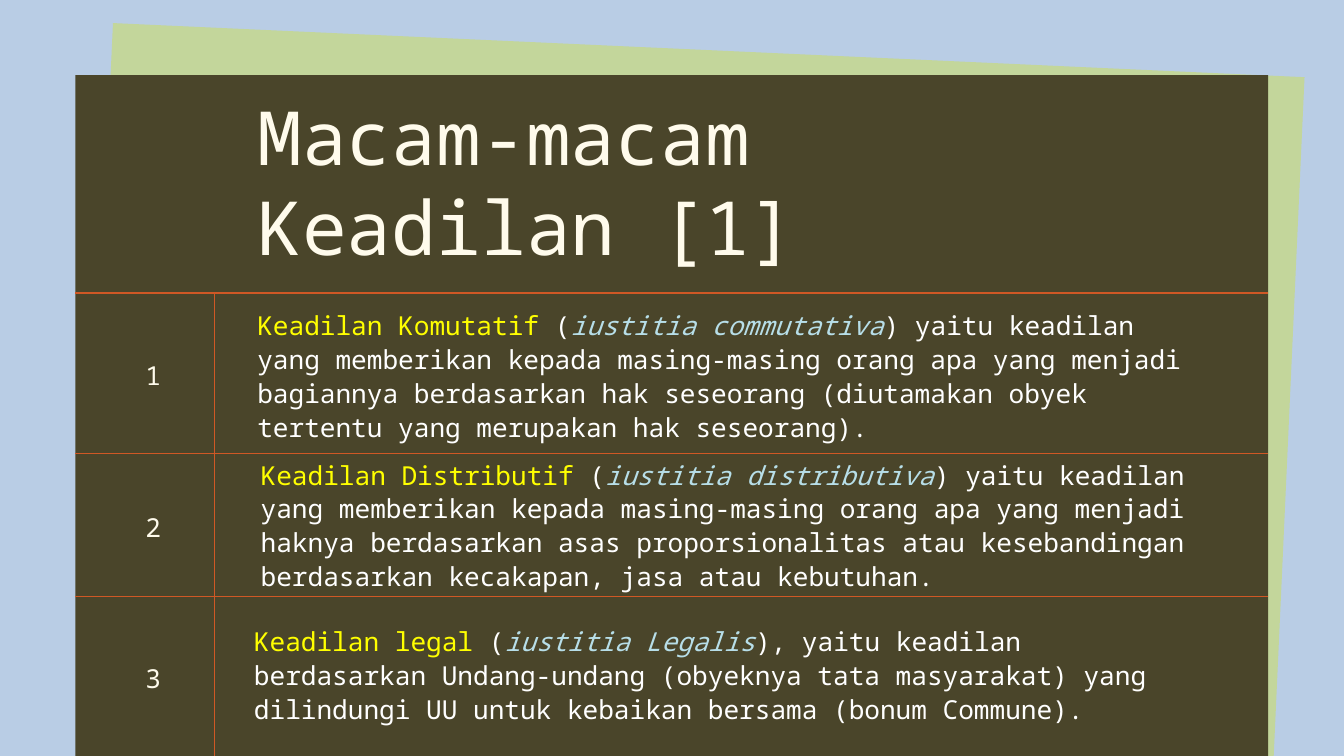
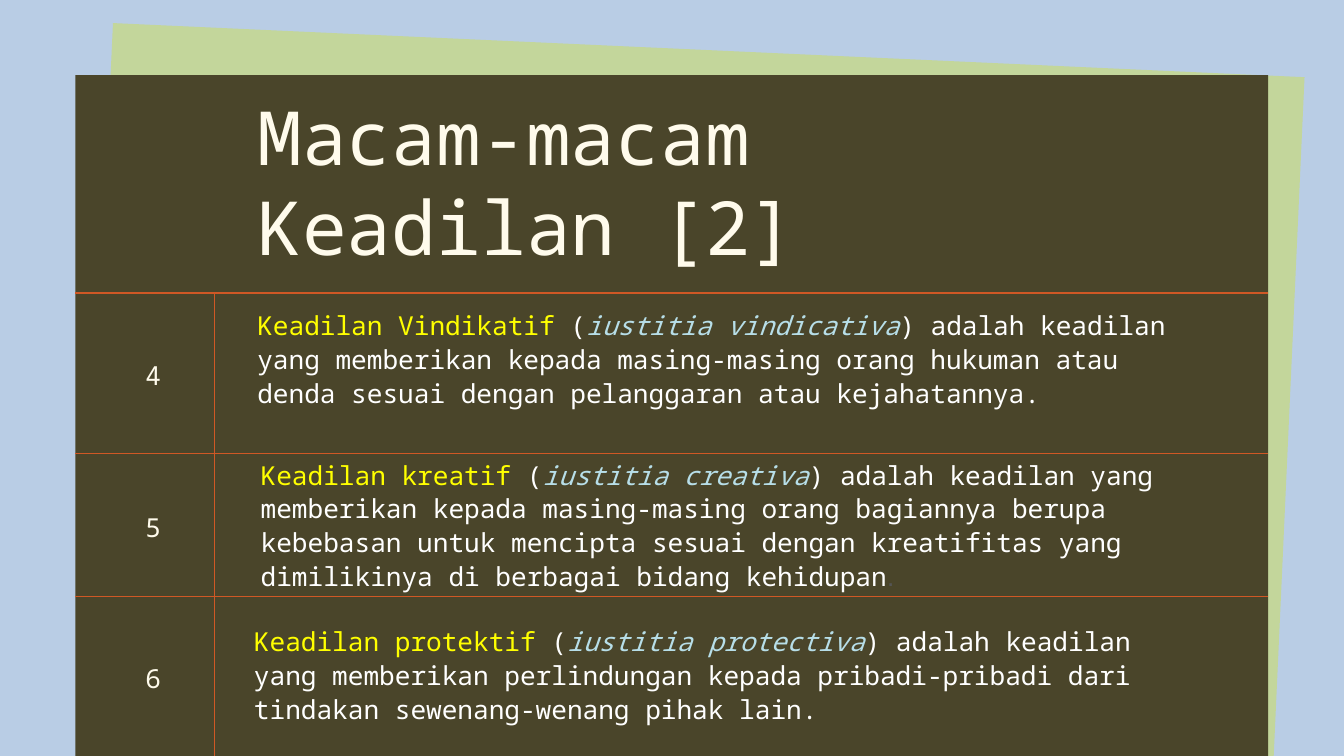
from dataclasses import dataclass

from lxml import etree
from pptx import Presentation
from pptx import util as u
from pptx.dml.color import RGBColor
from pptx.enum import shapes, text
from pptx.oxml import ns


@dataclass(frozen=True)
class Theme:
    # Colours
    sky: str = "B9CDE5"
    leaf: str = "C3D69B"
    panel: str = "4A452A"
    rule: str = "D05825"
    cream: str = "FFFBEC"
    term: str = "FFFF00"
    latin: str = "B7DEE8"
    plain: str = "FFFFFF"
    faint: str = "555555"
    # Type: size and line pitch in points
    font: str = "Noto Sans Mono"
    alt: str = "Arial"
    head: tuple = (80, 96)
    body: tuple = (28, 36.4)


# Panel box, column edge and row edges in inches
LEFT, TOP, WIDE, FOOT = 1.12, 1.12, 17.75, 11.25
SPLIT = 3.19
EDGES = [4.36, 6.75, 8.88, FOOT]
# Left and top of the text in each row
SPOTS = [(3.83, 4.56), (3.88, 6.79), (3.78, 9.27)]


class Deck:
    def __init__(self, theme):
        self.theme = theme
        self.prs = Presentation()
        self.prs.slide_width = u.Inches(20)
        self.prs.slide_height = u.Inches(FOOT)
        self.slide = None

    def page(self):
        self.slide = self.prs.slides.add_slide(self.prs.slide_layouts[5])
        fill = self.slide.background.fill
        fill.solid()
        fill.fore_color.rgb = RGBColor.from_string(self.theme.sky)

    def rect(self, box, tint, turn=0):
        shape = self.slide.shapes.add_shape(
            shapes.MSO_SHAPE.RECTANGLE, *map(u.Inches, box))
        shape.shadow.inherit = False
        shape.fill.solid()
        shape.fill.fore_color.rgb = RGBColor.from_string(tint)
        shape.line.fill.background()
        shape.rotation = turn

    def line(self, *ends):
        line = self.slide.shapes.add_connector(
            shapes.MSO_CONNECTOR.STRAIGHT, *map(u.Inches, ends))
        line.line.color.rgb = RGBColor.from_string(self.theme.rule)
        line.line.width = u.Pt(1.5)
        etree.SubElement(line._element.spPr, ns.qn("a:effectLst"))

    def put(self, shape, paras, style, align=text.PP_ALIGN.LEFT):
        """Fill a shape; each paragraph is a list of (words, colour, font, italic)."""
        size, pitch = style
        frame = shape.text_frame
        frame.word_wrap = True
        frame.auto_size = text.MSO_AUTO_SIZE.SHAPE_TO_FIT_TEXT
        frame.vertical_anchor = text.MSO_ANCHOR.TOP
        frame.margin_left = frame.margin_right = 0
        frame.margin_top = frame.margin_bottom = 0
        for i, runs in enumerate(paras):
            para = frame.add_paragraph() if i else frame.paragraphs[0]
            para.alignment = align
            para.line_spacing = u.Pt(pitch)
            para.space_before = u.Pt(0)
            for words, tint, font, slant in runs:
                run = para.add_run()
                run.text = words
                run.font.name = font
                run.font.size = u.Pt(size)
                run.font.italic = slant
                run.font.color.rgb = RGBColor.from_string(tint)

    def title(self, *lines):
        t = self.theme
        shape = self.slide.shapes.title
        shape.left, shape.top = u.Inches(3.83), u.Inches(1.35)
        shape.width, shape.height = u.Inches(11.61), u.Inches(2.69)
        self.put(shape, [[(s, t.cream, t.font, False)] for s in lines], t.head)
        # Bring the title in front of the panel
        self.slide.shapes._spTree.append(shape._element)

    def note(self, box, runs, align=text.PP_ALIGN.LEFT):
        shape = self.slide.shapes.add_textbox(*map(u.Inches, box))
        self.put(shape, [runs], self.theme.body, align)

    def frame(self):
        """Backing sheet, panel and the rules of the grid."""
        self.rect((1.42, 0.74, WIDE, 11.11), self.theme.leaf, 2.6)
        self.rect((LEFT, TOP, WIDE, FOOT - TOP), self.theme.panel)
        for y in EDGES[:-1]:
            self.line(LEFT, y, LEFT + WIDE, y)
        self.line(SPLIT, EDGES[0], SPLIT, FOOT)

    def row(self, i, num, term, latin, rest, stop=""):
        t = self.theme
        runs = [(term, t.term, t.font, False), (" (", t.plain, t.font, False),
                (latin, t.latin, t.font, True), (rest, t.plain, t.font, False)]
        if stop:
            runs.append((stop, t.faint, t.alt, False))
        self.note((*SPOTS[i], 13.8, 1.5), runs)
        # The number sits in the middle of its row
        mid = (EDGES[i] + EDGES[i + 1]) / 2
        self.note((1.95, mid - 0.25, 0.66, 0.5),
                  [(str(num), t.cream, t.font, False)], text.PP_ALIGN.CENTER)


# Term, Latin name, meaning and, where set apart, the full stop
PAGES = [
    [("Keadilan Komutatif", "iustitia commutativa",
      ") yaitu keadilan yang memberikan kepada masing-masing orang apa yang "
      "menjadi bagiannya berdasarkan hak seseorang (diutamakan obyek tertentu "
      "yang merupakan hak seseorang)."),
     ("Keadilan Distributif", "iustitia distributiva",
      ") yaitu keadilan yang memberikan kepada masing-masing orang apa yang "
      "menjadi haknya berdasarkan asas proporsionalitas atau kesebandingan "
      "berdasarkan kecakapan, jasa atau kebutuhan."),
     ("Keadilan legal", "iustitia Legalis",
      "), yaitu keadilan berdasarkan Undang-undang (obyeknya tata masyarakat) "
      "yang dilindungi UU untuk kebaikan bersama (bonum Commune).")],
    [("Keadilan Vindikatif", "iustitia vindicativa",
      ") adalah keadilan yang memberikan kepada masing-masing orang hukuman "
      "atau denda sesuai dengan pelanggaran atau kejahatannya."),
     ("Keadilan kreatif", "iustitia creativa",
      ") adalah keadilan yang memberikan kepada masing-masing orang bagiannya "
      "berupa kebebasan untuk mencipta sesuai dengan kreatifitas yang "
      "dimilikinya di berbagai bidang kehidupan", "."),
     ("Keadilan protektif", "iustitia protectiva",
      ") adalah keadilan yang memberikan perlindungan kepada pribadi-pribadi "
      "dari tindakan sewenang-wenang pihak lain.")],
]


def main():
    deck = Deck(Theme())
    num = 0
    for part, rows in enumerate(PAGES, 1):
        deck.page()
        deck.frame()
        deck.title("Macam-macam", f"Keadilan [{part}]")
        for i, row in enumerate(rows):
            num += 1
            deck.row(i, num, *row)
    deck.prs.save("out.pptx")


if __name__ == "__main__":
    main()
